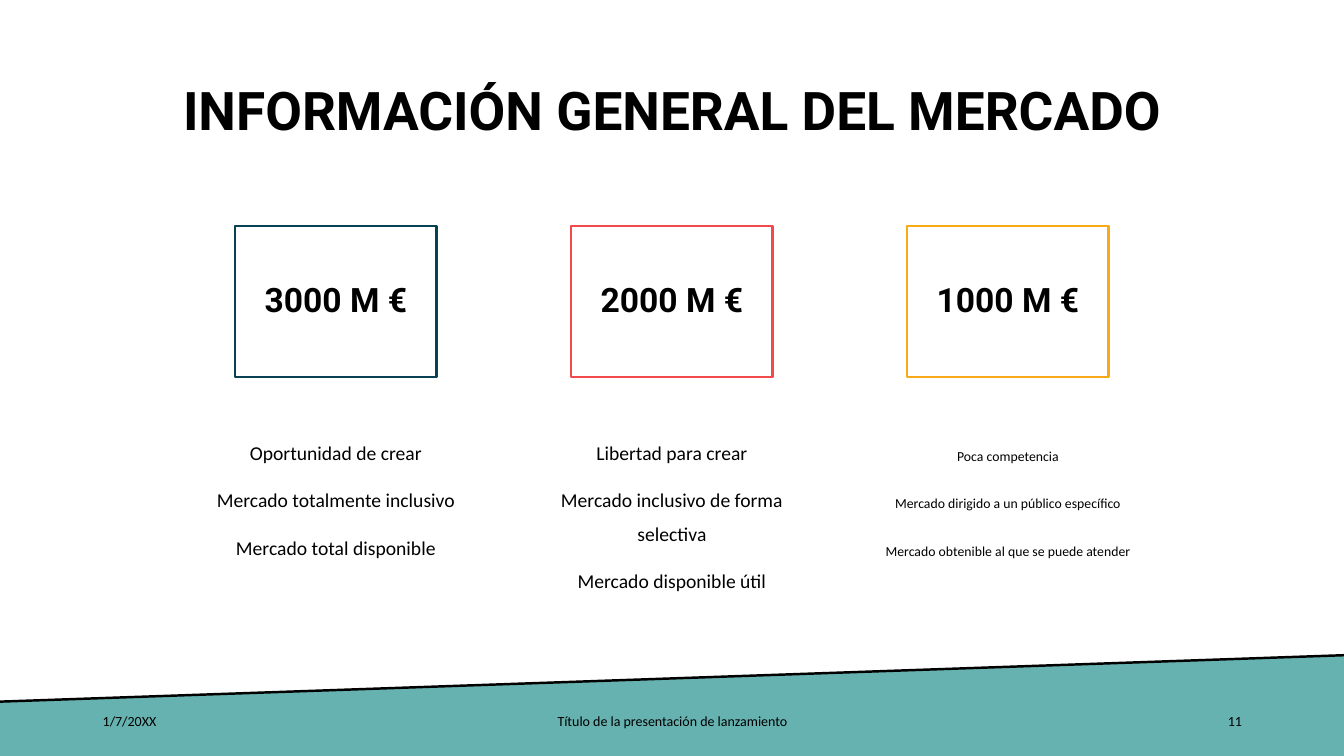
"""Build the market overview slide with three figures and their descriptions."""
from lxml import etree
from pptx import Presentation
from pptx.dml.color import RGBColor
from pptx.enum.shapes import MSO_CONNECTOR, MSO_SHAPE
from pptx.enum.text import MSO_ANCHOR, MSO_AUTO_SIZE, PP_ALIGN
from pptx.oxml.ns import qn
from pptx.util import Cm, Pt

LEFT, CENTER, RIGHT = PP_ALIGN.LEFT, PP_ALIGN.CENTER, PP_ALIGN.RIGHT
TOP, MIDDLE = MSO_ANCHOR.TOP, MSO_ANCHOR.MIDDLE
NO_AUTOFIT = MSO_AUTO_SIZE.NONE
RECTANGLE = MSO_SHAPE.RECTANGLE
STRAIGHT = MSO_CONNECTOR.STRAIGHT

TITLE = "INFORMACIÓN GENERAL DEL MERCADO"
MARKETS = [
    ("3000 M €", "navy", 14,
     ["Oportunidad de crear", "Mercado totalmente inclusivo", "Mercado total disponible"]),
    ("2000 M €", "red", 14,
     ["Libertad para crear", "Mercado inclusivo de forma selectiva", "Mercado disponible útil"]),
    ("1000 M €", "amber", 9.8,
     ["Poca competencia", "Mercado dirigido a un público específico",
      "Mercado obtenible al que se puede atender"]),
]
FOOTER = [
    ("1/7/20XX", LEFT, 2.34, 7.62),
    ("Título de la presentación de lanzamiento", CENTER, 11.23, 11.43),
    ("11", RIGHT, 23.93, 7.62),
]
COLORS = {"black": "000000", "teal": "66B2B0", "navy": "0A4054", "red": "F2494C", "amber": "F9AA19"}
HEADING_FONT, BODY_FONT = "Roboto", "Calibri"

PAGE_WIDTH, PAGE_HEIGHT = 33.87, 19.05
FIGURE_TOP, FIGURE_WIDTH, FIGURE_HEIGHT = 5.69, 5.08, 3.81
LIST_TOP, LIST_WIDTH, LIST_HEIGHT = 10.72, 7.62, 4.45
BAND_LEFT_TOP, BAND_RIGHT_TOP = 17.68, 16.51
FOOTER_TOP, FOOTER_HEIGHT = 17.65, 1.02
LINE_WIDTH = Pt(1.75)


def color(name):
    return RGBColor.from_string(COLORS[name])


def write(shape, lines, size, font, align=CENTER, anchor=MIDDLE, bold=False,
          line_spacing=None, gap=0):
    frame = shape.text_frame
    frame.word_wrap = True
    frame.auto_size = NO_AUTOFIT
    frame.vertical_anchor = anchor
    for index, line in enumerate(lines):
        para = frame.add_paragraph() if index else frame.paragraphs[0]
        para.alignment = align
        para.line_spacing = line_spacing
        para.space_before = Pt(gap if index else 0)
        span = para.add_run()
        span.text = line
        span.font.name = font
        span.font.size = Pt(size)
        span.font.bold = bold
        span.font.color.rgb = color("black")


def add_band(page):
    builder = page.shapes.build_freeform(Cm(0), Cm(BAND_LEFT_TOP))
    builder.add_line_segments([
        (Cm(PAGE_WIDTH), Cm(BAND_RIGHT_TOP)),
        (Cm(PAGE_WIDTH), Cm(PAGE_HEIGHT)),
        (Cm(0), Cm(PAGE_HEIGHT)),
    ])
    band = builder.convert_to_shape()
    band.shadow.inherit = False
    band.fill.solid()
    band.fill.fore_color.rgb = color("teal")
    band.line.fill.background()
    edge = page.shapes.add_connector(
        STRAIGHT, Cm(PAGE_WIDTH), Cm(BAND_RIGHT_TOP), Cm(0), Cm(BAND_LEFT_TOP))
    edge.line.color.rgb = color("black")
    edge.line.width = LINE_WIDTH
    etree.SubElement(edge.element.spPr, qn("a:effectLst"))


def add_market(page, center, amount, outline, size, points):
    figure = page.shapes.add_shape(
        RECTANGLE, Cm(center - FIGURE_WIDTH / 2), Cm(FIGURE_TOP),
        Cm(FIGURE_WIDTH), Cm(FIGURE_HEIGHT))
    figure.shadow.inherit = False
    figure.fill.background()
    figure.line.color.rgb = color(outline)
    figure.line.width = LINE_WIDTH
    write(figure, [amount], 24, HEADING_FONT, bold=True, line_spacing=0.9)
    box = page.shapes.add_textbox(
        Cm(center - LIST_WIDTH / 2), Cm(LIST_TOP), Cm(LIST_WIDTH), Cm(LIST_HEIGHT))
    write(box, points, size, BODY_FONT, anchor=TOP, line_spacing=Pt(24), gap=10)


def main():
    deck = Presentation()
    deck.slide_width, deck.slide_height = Cm(PAGE_WIDTH), Cm(PAGE_HEIGHT)
    page = deck.slides.add_slide(deck.slide_layouts.get_by_name("Title Only"))
    add_band(page)
    title = page.shapes.title
    title.left, title.top, title.width, title.height = Cm(2.34), Cm(1.02), Cm(29.21), Cm(3.68)
    write(title, [TITLE], 38, HEADING_FONT, bold=True, line_spacing=0.9)
    pitch = PAGE_WIDTH / (len(MARKETS) + 1)
    for column, market in enumerate(MARKETS, 1):
        add_market(page, column * pitch, *market)
    for text, align, left, width in FOOTER:
        box = page.shapes.add_textbox(Cm(left), Cm(FOOTER_TOP), Cm(width), Cm(FOOTER_HEIGHT))
        write(box, [text], 10, BODY_FONT, align)
    deck.save("out.pptx")


if __name__ == "__main__":
    main()
